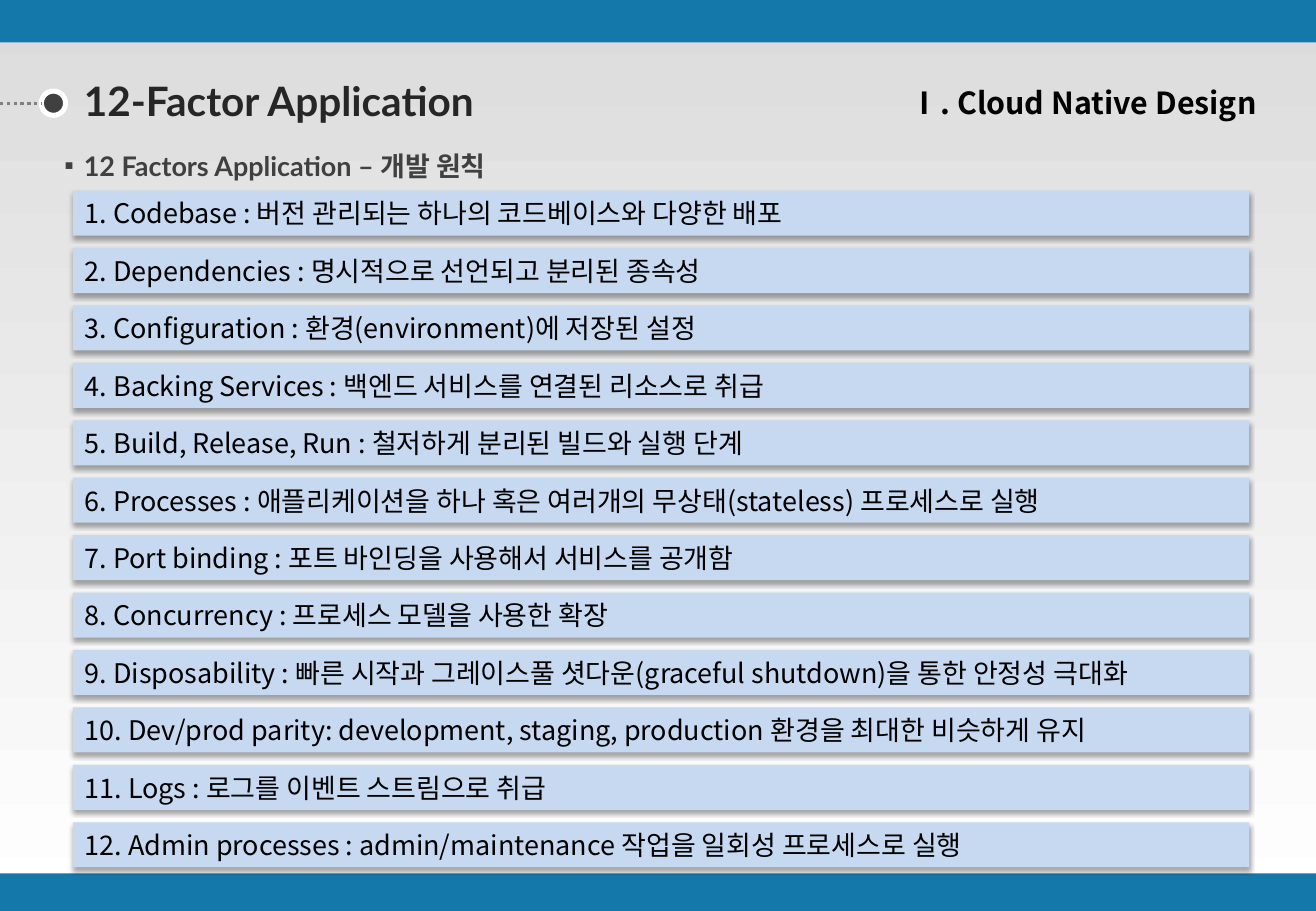
from dataclasses import dataclass

from lxml import etree
from pptx import Presentation
from pptx.dml import color
from pptx.enum import dml, shapes, text
from pptx.oxml import ns, parse_xml
from pptx.util import Inches, Pt


@dataclass(frozen=True)
class Theme:
    latin: str = "Lato"
    hangul: str = "Noto Sans CJK KR"
    band: str = "1478AA"
    bar: str = "C6D9F1"
    top: str = "DCDCDC"
    white: str = "FFFFFF"
    black: str = "000000"
    title: str = "262626"
    dark: str = "404040"
    dots: str = "808080"
    big: int = 24
    mid: int = 18
    small: int = 16


FACTORS = [
    "1. Codebase : 버전 관리되는 하나의 코드베이스와 다양한 배포",
    "2. Dependencies : 명시적으로 선언되고 분리된 종속성",
    "3. Configuration : 환경(environment)에 저장된 설정",
    "4. Backing Services : 백엔드 서비스를 연결된 리소스로 취급",
    "5. Build, Release, Run : 철저하게 분리된 빌드와 실행 단계",
    "6. Processes : 애플리케이션을 하나 혹은 여러개의 무상태(stateless) 프로세스로 실행",
    "7. Port binding : 포트 바인딩을 사용해서 서비스를 공개함",
    "8. Concurrency : 프로세스 모델을 사용한 확장",
    "9. Disposability : 빠른 시작과 그레이스풀 셧다운(graceful shutdown)을 통한 안정성 극대화",
    "10. Dev/prod parity: development, staging, production 환경을 최대한 비슷하게 유지",
    "11. Logs : 로그를 이벤트 스트림으로 취급",
    "12. Admin processes : admin/maintenance 작업을 일회성 프로세스로 실행",
]

SHADOW = (
    f'<a:effectLst {ns.nsdecls("a")}>'
    '<a:outerShdw blurRad="39370" dist="22860" dir="5400000" rotWithShape="0">'
    '<a:srgbClr val="000000"><a:alpha val="35000"/></a:srgbClr>'
    "</a:outerShdw></a:effectLst>"
)


def rgb(code):
    return color.RGBColor.from_string(code)


class Deck:
    def __init__(self, theme, width, height):
        self.theme = theme
        self.prs = Presentation()
        self.prs.slide_width = Inches(width)
        self.prs.slide_height = Inches(height)
        self.slide = self.prs.slides.add_slide(self.prs.slide_layouts[1])

    def shade(self, first, last):
        """Fill the background from top to bottom."""
        fill = self.slide.background.fill
        fill.gradient()
        fill.gradient_angle = 270
        for stop, code, place in zip(fill.gradient_stops, (first, last), (0, 1)):
            stop.color.rgb = rgb(code)
            stop.position = place

    def fit(self, shape, words, size, code, font, bold=False,
            align=text.PP_ALIGN.LEFT, anchor=text.MSO_ANCHOR.MIDDLE, inset=None):
        """Set one formatted paragraph and return it."""
        frame = shape.text_frame
        frame.text = words
        frame.word_wrap = True
        frame.auto_size = text.MSO_AUTO_SIZE.NONE
        frame.vertical_anchor = anchor
        if inset:
            (frame.margin_left, frame.margin_top,
             frame.margin_right, frame.margin_bottom) = map(Inches, inset)
        para = frame.paragraphs[0]
        para.alignment = align
        para.space_before = Pt(0)
        for run in para.runs:
            run.font.name = font
            run.font.size = Pt(size)
            run.font.bold = bold
            run.font.color.rgb = rgb(code)
            asian = etree.SubElement(run.font._element, ns.qn("a:ea"))
            asian.set("typeface", self.theme.hangul)
        return para

    def holder(self, index, box):
        """Move a template placeholder to the box."""
        shape = self.slide.placeholders[index]
        shape.left, shape.top, shape.width, shape.height = map(Inches, box)
        return shape

    def title(self, words, box):
        t = self.theme
        para = self.fit(self.holder(0, box), words, t.big, t.title, t.latin,
                        bold=True, inset=(0.35, 0, 0.2, 0))
        para.line_spacing = 0.9

    def bullet(self, words, box):
        t = self.theme
        para = self.fit(self.holder(1, box), words, t.small, t.dark, t.latin,
                        bold=True, anchor=text.MSO_ANCHOR.TOP, inset=(0, 0, 0, 0))
        props = para._p.get_or_add_pPr()
        props.set("marL", str(Inches(0.16)))
        props.set("indent", str(Inches(-0.16)))
        etree.SubElement(props, ns.qn("a:buChar")).set("char", "▪")

    def label(self, words, box):
        t = self.theme
        shape = self.slide.shapes.add_textbox(*map(Inches, box))
        self.fit(shape, words, t.mid, t.black, t.hangul, bold=True,
                 align=text.PP_ALIGN.RIGHT, anchor=text.MSO_ANCHOR.TOP)

    def shape(self, kind, box, code):
        shape = self.slide.shapes.add_shape(kind, *map(Inches, box))
        shape.shadow.inherit = False
        shape.fill.solid()
        shape.fill.fore_color.rgb = rgb(code)
        shape.line.fill.background()
        return shape

    def band(self, box):
        self.shape(shapes.MSO_SHAPE.RECTANGLE, box, self.theme.band)

    def bar(self, words, box):
        t = self.theme
        shape = self.shape(shapes.MSO_SHAPE.RECTANGLE, box, t.bar)
        props = shape._element.spPr
        props.replace(props.find(ns.qn("a:effectLst")), parse_xml(SHADOW))
        self.fit(shape, words, t.small, t.black, t.hangul)

    def dot(self, box):
        shape = self.shape(shapes.MSO_SHAPE.OVAL, box, self.theme.dark)
        shape.line.color.rgb = rgb(self.theme.white)
        shape.line.width = Pt(3)

    def dotted(self, *ends):
        link = self.slide.shapes.add_connector(
            shapes.MSO_CONNECTOR.STRAIGHT, *map(Inches, ends))
        link.line.color.rgb = rgb(self.theme.dots)
        link.line.width = Pt(2)
        link.line.dash_style = dml.MSO_LINE.ROUND_DOT
        etree.SubElement(link._element.spPr, ns.qn("a:effectLst"))


def main():
    theme = Theme()
    width, height = 10.83, 7.5
    deck = Deck(theme, width, height)
    deck.shade(theme.top, theme.white)
    deck.band((0, 7.19, width, 0.31))
    deck.band((0, 0, width, 0.35))
    deck.title("12-Factor Application", (0.34, 0.67, 3.94, 0.36))
    deck.dot((0.34, 0.75, 0.2, 0.2))
    deck.dotted(0, 0.85, 0.34, 0.85)
    deck.bullet("12 Factors Application – 개발 원칙", (0.53, 1.23, 3.64, 0.27))
    deck.label("Ⅰ. Cloud Native Design", (5.37, 0.64, 5.07, 0.42))

    first, last = 1.57, 6.77
    step = (last - first) / (len(FACTORS) - 1)
    for row, factor in enumerate(FACTORS):
        deck.bar(factor, (0.6, first + row * step, 9.68, 0.37))
    deck.prs.save("out.pptx")


if __name__ == "__main__":
    main()
